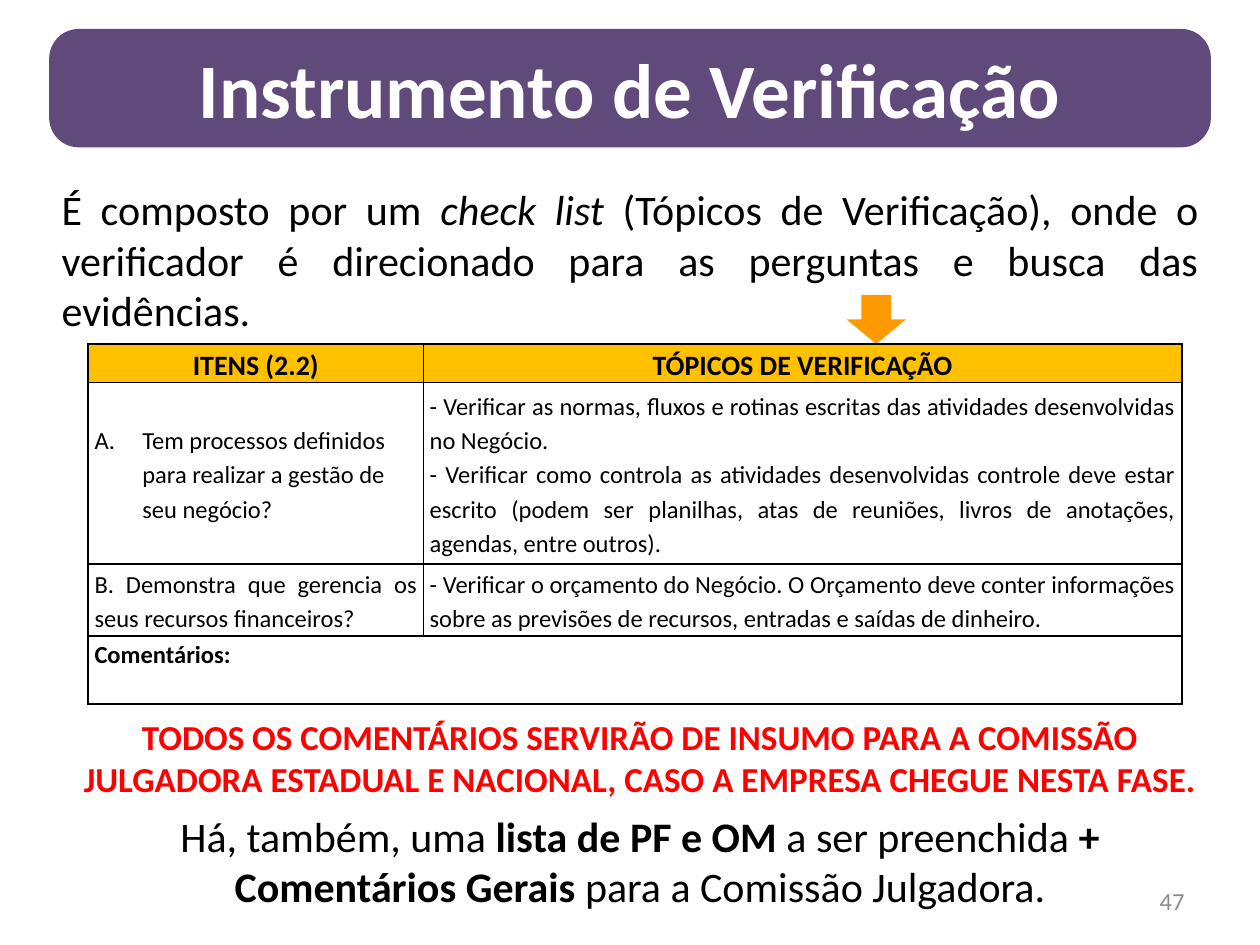
from lxml import etree
from pptx import Presentation
from pptx.dml.color import RGBColor
from pptx.enum.shapes import MSO_SHAPE
from pptx.enum.text import MSO_ANCHOR, MSO_AUTO_SIZE, PP_ALIGN
from pptx.oxml.ns import qn
from pptx.util import Inches, Pt

LEFT, RIGHT = PP_ALIGN.LEFT, PP_ALIGN.RIGHT
MID, JUST = PP_ALIGN.CENTER, PP_ALIGN.JUSTIFY
TOP, HALF = MSO_ANCHOR.TOP, MSO_ANCHOR.MIDDLE
GROW = MSO_AUTO_SIZE.SHAPE_TO_FIT_TEXT
ROUND, DOWN = MSO_SHAPE.ROUNDED_RECTANGLE, MSO_SHAPE.DOWN_ARROW
BLACK, WHITE, GRAY, RED = "000000", "FFFFFF", "8C8C8C", "FF0000"
PURPLE, ORANGE, GOLD = "604A7B", "FF9900", "FFC000"


def color(code):
    return RGBColor.from_string(code)


class Page:
    face = "Calibri"
    cols, rows = 100, 75

    def __init__(self, deck):
        self.slide = deck.slides.add_slide(deck.slide_layouts[6])
        self.shapes = self.slide.shapes
        self.col = deck.slide_width / self.cols
        self.row = deck.slide_height / self.rows

    def area(self, x, y, w, h):
        return [round(n) for n in (x * self.col, y * self.row,
                                   w * self.col, h * self.row)]

    def fill_text(self, frame, paras, align, size, ink=BLACK, bold=False, lead=None):
        for i, runs in enumerate(paras):
            para = frame.paragraphs[0] if i == 0 else frame.add_paragraph()
            para.alignment = align
            if lead:
                para.line_spacing = lead
            self.style(para, runs, size, ink, bold)

    def style(self, para, runs, size, ink, bold):
        font = para.font
        font.name, font.size, font.bold = self.face, Pt(size), bold
        font.color.rgb = color(ink)
        for text, mark in [(runs, "")] if isinstance(runs, str) else runs:
            run = para.add_run()
            run.text = text
            if mark == "b":
                run.font.bold = True
            elif mark == "i":
                run.font.italic = True

    def text(self, place, paras, align, size, ink=BLACK, bold=False, anchor=TOP):
        frame = self.shapes.add_textbox(*self.area(*place)).text_frame
        frame.word_wrap = True
        frame.vertical_anchor = anchor
        if anchor == TOP:
            frame.auto_size = GROW
        self.fill_text(frame, paras, align, size, ink, bold)
        return frame

    def shape(self, kind, place, fill):
        item = self.shapes.add_shape(kind, *self.area(*place))
        item.shadow.inherit = False
        item.fill.solid()
        item.fill.fore_color.rgb = color(fill)
        item.line.fill.background()
        return item

    def table(self, place, widths, heights):
        grid = self.shapes.add_table(len(heights), len(widths), *self.area(*place)).table
        for col, width in zip(grid.columns, widths):
            col.width = round(width * self.col)
        for row, height in zip(grid.rows, heights):
            row.height = round(height * self.row)
        for cell in grid.iter_cells():
            cell.margin_left = cell.margin_right = Inches(0.05)
            cell.margin_top = cell.margin_bottom = 0
            cell.vertical_anchor = HALF
            cell.fill.background()
            self.border(cell)
        return grid

    def border(self, cell):
        props = cell._tc.get_or_add_tcPr()
        for i, side in enumerate(("lnL", "lnR", "lnT", "lnB")):
            line = etree.Element(qn("a:" + side), w=str(Pt(1)))
            fill = etree.SubElement(line, qn("a:solidFill"))
            etree.SubElement(fill, qn("a:srgbClr"), val=BLACK)
            props.insert(i, line)

    def cell(self, cell, paras, align, size=14, bold=False, fill=None):
        if fill:
            cell.fill.solid()
            cell.fill.fore_color.rgb = color(fill)
        self.fill_text(cell.text_frame, paras, align, size, bold=bold, lead=1.15)

    def item(self, cell, text, size=14):
        para = cell.text_frame.paragraphs[0]
        para.line_spacing = 1.15
        props = para._p.get_or_add_pPr()
        props.set("marL", str(Inches(0.38)))
        props.set("indent", str(-Inches(0.38)))
        etree.SubElement(props, qn("a:buFont"), typeface=self.face)
        etree.SubElement(props, qn("a:buAutoNum"), type="alphaUcPeriod")
        tabs = etree.SubElement(props, qn("a:tabLst"))
        etree.SubElement(tabs, qn("a:tab"), pos=str(Inches(0.2)), algn="l")
        self.style(para, text, size, BLACK, False)


def main():
    deck = Presentation()
    deck.slide_width, deck.slide_height = Inches(10), Inches(7.5)
    page = Page(deck)

    page.text((71.7, 69.5, 23.3, 4), ["47"], RIGHT, 14, GRAY, anchor=HALF)

    title = page.shape(ROUND, (3.9, 2.3, 92.2, 9.4), PURPLE)
    title.adjustments[0] = 0.25
    title.text_frame.vertical_anchor = HALF
    page.fill_text(title.text_frame, ["Instrumento de Verificação"], MID, 44, WHITE, True)

    page.text((3.9, 14.1, 92.2, 13.1), [[
        ("É composto por um ", ""),
        ("check list ", "i"),
        ("(Tópicos de Verificação), onde o verificador é direcionado "
         "para as perguntas e busca das evidências.", ""),
    ]], JUST, 24)
    page.shape(DOWN, (67.2, 23.4, 4.7, 3.9), ORANGE)

    notes = page.text((5.5, 56.3, 90.6, 16.7), [
        "TODOS OS COMENTÁRIOS SERVIRÃO DE INSUMO PARA A COMISSÃO JULGADORA "
        "ESTADUAL E NACIONAL, CASO A EMPRESA CHEGUE NESTA FASE.",
    ], MID, 20, RED, True)
    last = notes.add_paragraph()
    last.alignment = MID
    last.space_before = Pt(6)
    page.style(last, [
        ("Há, também, uma ", ""),
        ("lista de PF e OM ", "b"),
        ("a ser preenchida", ""),
        (" + Comentários Gerais ", "b"),
        ("para a Comissão Julgadora.", ""),
    ], 24, BLACK, False)

    grid = page.table((7, 27.3, 86.8, 28.5), (26.6, 60.2), (3, 14.4, 5.7, 5.4))
    for i, head in enumerate(("ITENS (2.2)", "TÓPICOS DE VERIFICAÇÃO")):
        page.cell(grid.cell(0, i), [head], MID, 16, True, GOLD)
    page.item(grid.cell(1, 0),
              "Tem processos definidos para realizar a gestão de seu negócio?")
    page.cell(grid.cell(1, 1), [
        "- Verificar as normas, fluxos e rotinas escritas das atividades "
        "desenvolvidas no Negócio.",
        "- Verificar como controla as atividades desenvolvidas controle deve estar "
        "escrito (podem ser planilhas, atas de reuniões, livros de anotações, "
        "agendas, entre outros).",
    ], JUST)
    page.cell(grid.cell(2, 0),
              ["B. Demonstra que gerencia os seus recursos financeiros?"], JUST)
    page.cell(grid.cell(2, 1), [
        "- Verificar o orçamento do Negócio. O Orçamento deve conter informações "
        "sobre as previsões de recursos, entradas e saídas de dinheiro.",
    ], JUST)
    foot = grid.cell(3, 0)
    foot.merge(grid.cell(3, 1))
    foot.vertical_anchor = TOP
    page.cell(foot, ["Comentários:"], LEFT, bold=True)

    deck.save("out.pptx")


if __name__ == "__main__":
    main()
